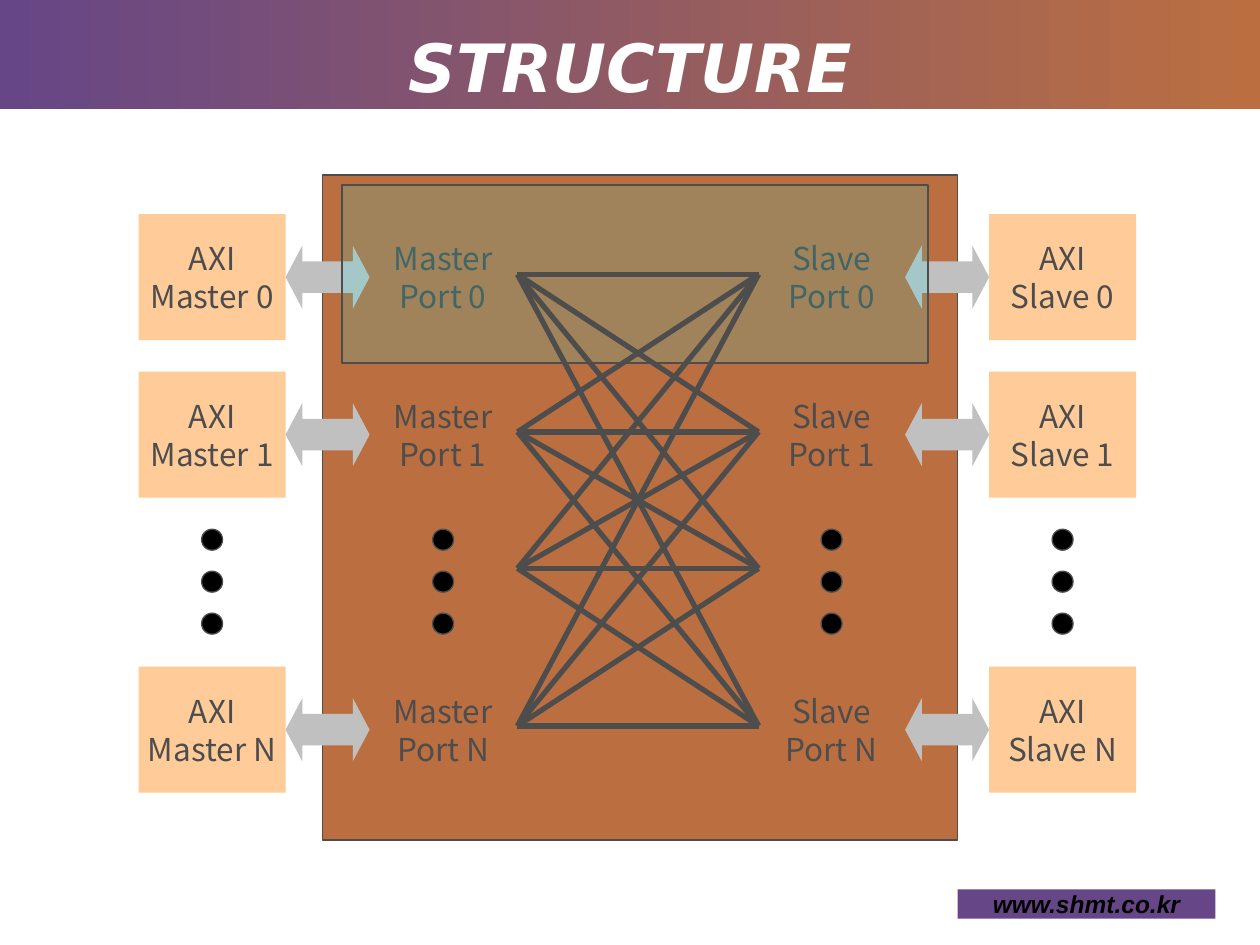
from dataclasses import dataclass

from lxml import etree
from pptx import Presentation
from pptx.dml.color import RGBColor
from pptx.enum.shapes import MSO_CONNECTOR, MSO_SHAPE
from pptx.enum.text import MSO_ANCHOR, PP_ALIGN
from pptx.oxml.ns import qn
from pptx.util import Pt

COLORS = {
    "purple": "664686", "orange": "BB6F41", "peach": "FFCC99",
    "gray": "4D4D4D", "silver": "C0C0C0", "cyan": "00FFFF",
    "black": "000000", "white": "FFFFFF",
}
BOX_WIDTH, BOX_HEIGHT = 84, 72
ARROW_WIDTH, ARROW_HEIGHT = 48, 36
DOT_SIZE, DOT_STEP, DOT_TOP = 12, 24, 302.4
ROWS = {"0": 122.4, "1": 212.4, "N": 381}
ARROW_LEFTS = (163.2, 517.2)
LINE_LEFT, LINE_RIGHT = 295.7, 433.5
LINE_YS = (156.8, 246.8, 324.8, 414.8)


@dataclass(frozen=True)
class Column:
    left: float
    first_line: str
    second_line: str
    fill: str


COLUMNS = (
    Column(211.2, "Master", "Port", "orange"),
    Column(433.2, "Slave", "Port", "orange"),
    Column(79.2, "AXI", "Master", "peach"),
    Column(565.2, "AXI", "Slave", "peach"),
)


def rgb(name: str) -> RGBColor:
    return RGBColor.from_string(COLORS[name])


def add_figure(page, kind, left: float, top: float, width: float, height: float,
               fill: str, line_width: float = 0):
    shape = page.shapes.add_shape(kind, Pt(left), Pt(top), Pt(width), Pt(height))
    shape.shadow.inherit = False
    shape.fill.solid()
    shape.fill.fore_color.rgb = rgb(fill)
    if line_width:
        shape.line.color.rgb = rgb("gray")
        shape.line.width = Pt(line_width)
    else:
        shape.line.fill.background()
    return shape


def set_text(shape, text: str, size: float, font: str, color: str,
             strong: bool = False) -> None:
    frame = shape.text_frame
    frame.text = text
    for para in frame.paragraphs:
        para.alignment = PP_ALIGN.CENTER
        for span in para.runs:
            span.font.size = Pt(size)
            span.font.name = font
            span.font.bold = span.font.italic = strong
            span.font.color.rgb = rgb(color)


def add_text_shadow(span) -> None:
    effects = etree.Element(qn("a:effectLst"))
    shadow = etree.SubElement(effects, qn("a:outerShdw"),
                              dist="25400", dir="2700000", algn="tl")
    etree.SubElement(shadow, qn("a:srgbClr"), val=COLORS["black"])
    span.font._element.find(qn("a:solidFill")).addnext(effects)


def add_box(page, column: Column, row: str) -> None:
    box = add_figure(page, MSO_SHAPE.RECTANGLE, column.left, ROWS[row],
                     BOX_WIDTH, BOX_HEIGHT, column.fill)
    box.text_frame.word_wrap = False
    box.text_frame.vertical_anchor = MSO_ANCHOR.MIDDLE
    set_text(box, f"{column.first_line}\n{column.second_line} {row}",
             18, "Noto Sans CJK KR", "gray")


def add_dots(page, column: Column) -> None:
    left = column.left + (BOX_WIDTH - DOT_SIZE) / 2
    for index in range(3):
        add_figure(page, MSO_SHAPE.OVAL, left, DOT_TOP + index * DOT_STEP,
                   DOT_SIZE, DOT_SIZE, "black", 0.75)


def add_arrow(page, left: float, row_top: float) -> None:
    top = row_top + (BOX_HEIGHT - ARROW_HEIGHT) / 2
    arrow = add_figure(page, MSO_SHAPE.LEFT_RIGHT_ARROW, left, top,
                       ARROW_WIDTH, ARROW_HEIGHT, "silver")
    arrow.adjustments[0] = 0.5
    arrow.adjustments[1] = 0.265


def add_link(page, start_y: float, end_y: float) -> None:
    link = page.shapes.add_connector(MSO_CONNECTOR.STRAIGHT, Pt(LINE_LEFT), Pt(start_y),
                                     Pt(LINE_RIGHT), Pt(end_y))
    link.line.color.rgb = rgb("gray")
    link.line.width = Pt(3)
    etree.SubElement(link._element.spPr, qn("a:effectLst"))


def main() -> None:
    deck = Presentation()
    deck.slide_width, deck.slide_height = Pt(720), Pt(540)
    page = deck.slides.add_slide(deck.slide_layouts[5])

    # Header band
    band = add_figure(page, MSO_SHAPE.RECTANGLE, 0, 0, 720, 62.4, "purple")
    band.fill.gradient()
    band.fill.gradient_angle = 0
    for stop, color in zip(band.fill.gradient_stops, ("purple", "orange")):
        stop.color.rgb = rgb(color)

    # Title, brought in front of the band
    title = page.shapes.title
    title.left, title.top, title.width, title.height = Pt(0), Pt(-8), Pt(720), Pt(91)
    title.text_frame.vertical_anchor = MSO_ANCHOR.MIDDLE
    set_text(title, "STRUCTURE", 38, "DejaVu Sans", "white", strong=True)
    add_text_shadow(title.text_frame.paragraphs[0].runs[0])
    band._element.addnext(title._element)

    # Interconnect body and web address
    add_figure(page, MSO_SHAPE.RECTANGLE, 184.3, 100, 362.9, 380, "orange", 1)
    footer = add_figure(page, MSO_SHAPE.RECTANGLE, 547.2, 508.2, 147.4, 16.8, "purple")
    frame = footer.text_frame
    frame.margin_left = frame.margin_top = frame.margin_right = frame.margin_bottom = 0
    frame.vertical_anchor = MSO_ANCHOR.TOP
    set_text(footer, "www.shmt.co.kr", 14, "Arial", "black", strong=True)

    # Ports, masters and slaves
    for column in COLUMNS:
        for row in ROWS:
            add_box(page, column, row)
        add_dots(page, column)
    for left in ARROW_LEFTS:
        for row_top in ROWS.values():
            add_arrow(page, left, row_top)

    # Transparent highlight over the first row
    highlight = add_figure(page, MSO_SHAPE.RECTANGLE, 195.6, 105.7, 334.8, 102, "cyan", 1)
    color = highlight._element.spPr.find(qn("a:solidFill")).find(qn("a:srgbClr"))
    etree.SubElement(color, qn("a:alpha"), val="14000")

    # Every master port linked to every slave port
    for start_y in LINE_YS:
        for end_y in LINE_YS:
            add_link(page, start_y, end_y)

    deck.save("out.pptx")


if __name__ == "__main__":
    main()
